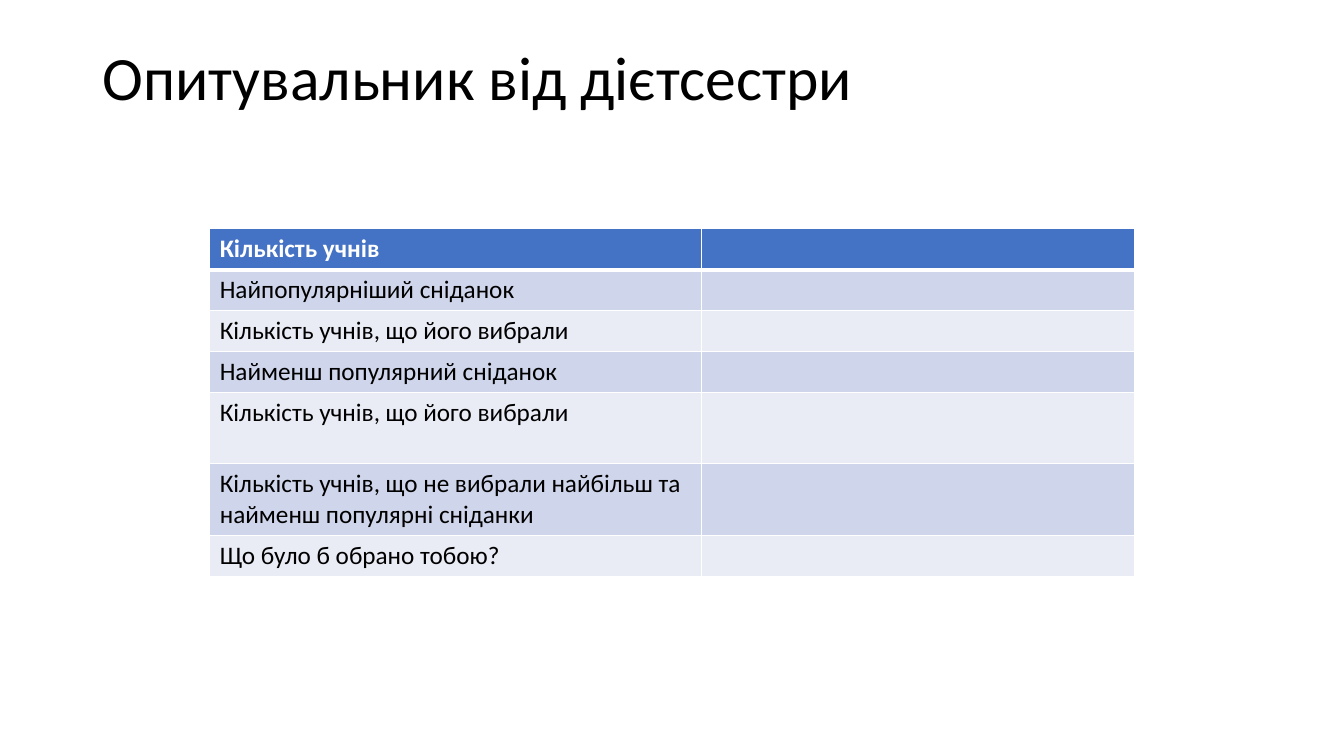
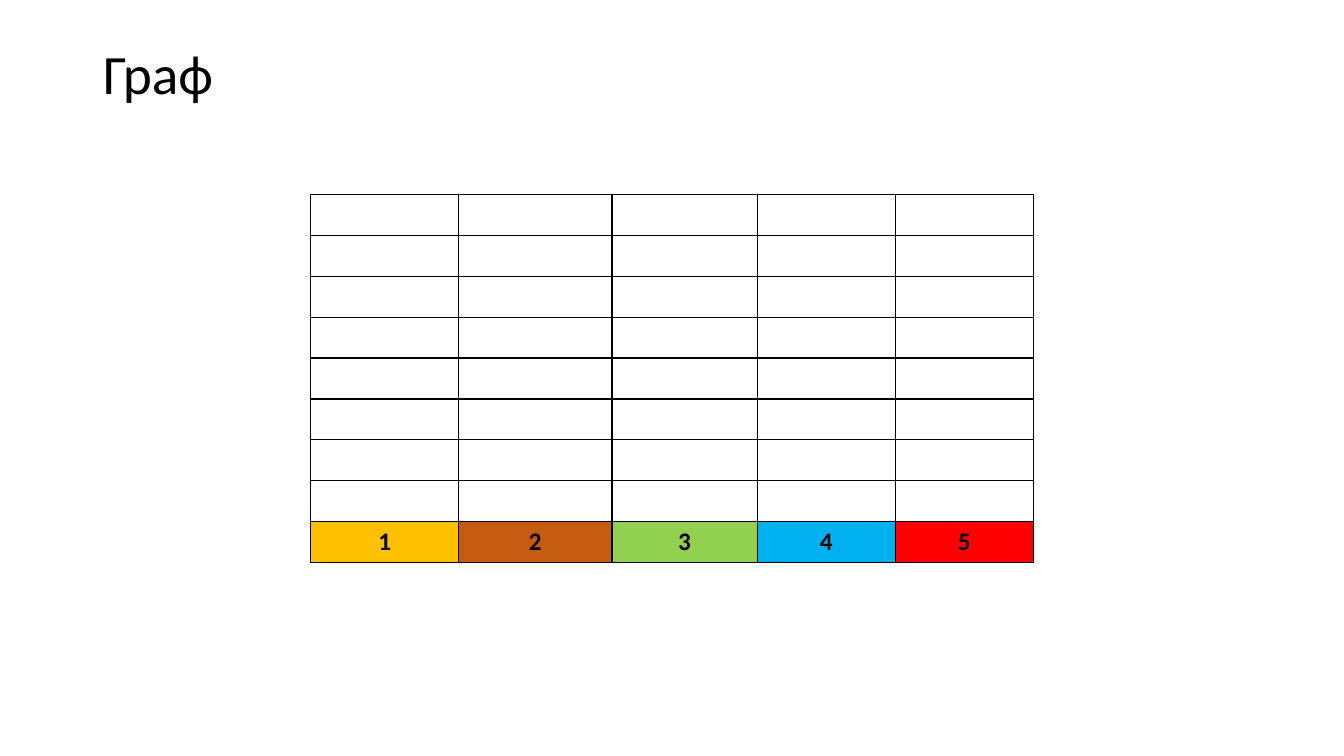
"""Build a breakfast survey table and an empty bar grid on two slides."""
from lxml.etree import SubElement
from pptx import Presentation
from pptx.dml.color import RGBColor
from pptx.enum.text import MSO_ANCHOR, MSO_AUTO_SIZE, PP_ALIGN
from pptx.oxml.ns import qn
from pptx.util import Inches, Pt

FONT = "Calibri"
BLACK = RGBColor(0x00, 0x00, 0x00)
WHITE = RGBColor(0xFF, 0xFF, 0xFF)
HEADER = RGBColor(0x44, 0x72, 0xC4)
BANDS = [RGBColor(0xE9, 0xEB, 0xF5), RGBColor(0xCF, 0xD5, 0xEA)]
BAR_COLORS = [
    RGBColor(0xFF, 0xC0, 0x00),
    RGBColor(0xC5, 0x5A, 0x11),
    RGBColor(0x92, 0xD0, 0x50),
    RGBColor(0x00, 0xB0, 0xF0),
    RGBColor(0xFF, 0x00, 0x00),
]
QUESTIONS = [
    "Кількість учнів",
    "Найпопулярніший сніданок",
    "Кількість учнів, що його вибрали",
    "Найменш популярний сніданок",
    "Кількість учнів, що його вибрали",
    "Кількість учнів, що не вибрали найбільш та найменш популярні сніданки",
    "Що було б обрано тобою?",
]

prs = Presentation()
prs.slide_width, prs.slide_height = Inches(13.33), Inches(7.5)


def add_table_slide(title, size, title_height, rows, widths, box):
    s = prs.slides.add_slide(prs.slide_layouts[5])
    sp = s.shapes.title
    sp.left, sp.top = Inches(0.92), Inches(0.4)
    sp.width, sp.height = Inches(11.5), Inches(title_height)
    tf = sp.text_frame
    tf.text = title
    tf.auto_size = MSO_AUTO_SIZE.NONE
    tf.vertical_anchor = MSO_ANCHOR.MIDDLE
    p = tf.paragraphs[0]
    p.alignment = PP_ALIGN.LEFT
    p.line_spacing = 0.9
    p.font.name, p.font.size, p.font.color.rgb = FONT, Pt(size), BLACK
    tbl = s.shapes.add_table(rows, len(widths), *map(Inches, box)).table
    tbl.first_row = tbl.horz_banding = False
    for col, width in zip(tbl.columns, widths):
        col.width = Inches(width)
    return tbl


def style_cell(cell, text, color, line, fill=None, bold=False, top=1, bottom=1):
    tcPr = cell._tc.get_or_add_tcPr()
    for side, width in (("L", 1), ("R", 1), ("T", top), ("B", bottom)):
        ln = SubElement(tcPr, qn(f"a:ln{side}"), w=str(Pt(width)))
        solid = SubElement(ln, qn("a:solidFill"))
        SubElement(solid, qn("a:srgbClr"), val=str(line))
    if fill is None:
        cell.fill.background()
    else:
        cell.fill.solid()
        cell.fill.fore_color.rgb = fill
    cell.text = text
    font = cell.text_frame.paragraphs[0].font
    font.name, font.size, font.bold = FONT, Pt(18), bold
    font.color.rgb = color


survey = add_table_slide("Опитувальник від дієтсестри", 44, 0.79,
                         len(QUESTIONS), [4.88, 4.29], (2.08, 2.27, 9.17, 2.84))
for i, question in enumerate(QUESTIONS):
    head = i == 0
    for cell, text in zip(survey.rows[i].cells, (question, "")):
        style_cell(cell, text, WHITE if head else BLACK, WHITE,
                   HEADER if head else BANDS[i % 2], head,
                   top=3 if i == 1 else 1, bottom=3 if head else 1)
for i in (4, 5):
    survey.rows[i].height = Inches(0.71)

grid = add_table_slide("Граф", 39.6, 0.71, 9,
                       [1.47, 1.52, 1.44, 1.37, 1.37], (3.08, 1.93, 7.18, 3.65))
last = len(grid.rows) - 1
for i, row in enumerate(grid.rows):
    for j, cell in enumerate(row.cells):
        if i < last:
            style_cell(cell, "", BLACK, BLACK)
        else:
            style_cell(cell, str(j + 1), BLACK, BLACK, BAR_COLORS[j], True)
            cell.text_frame.paragraphs[0].alignment = PP_ALIGN.CENTER

prs.save("out.pptx")
